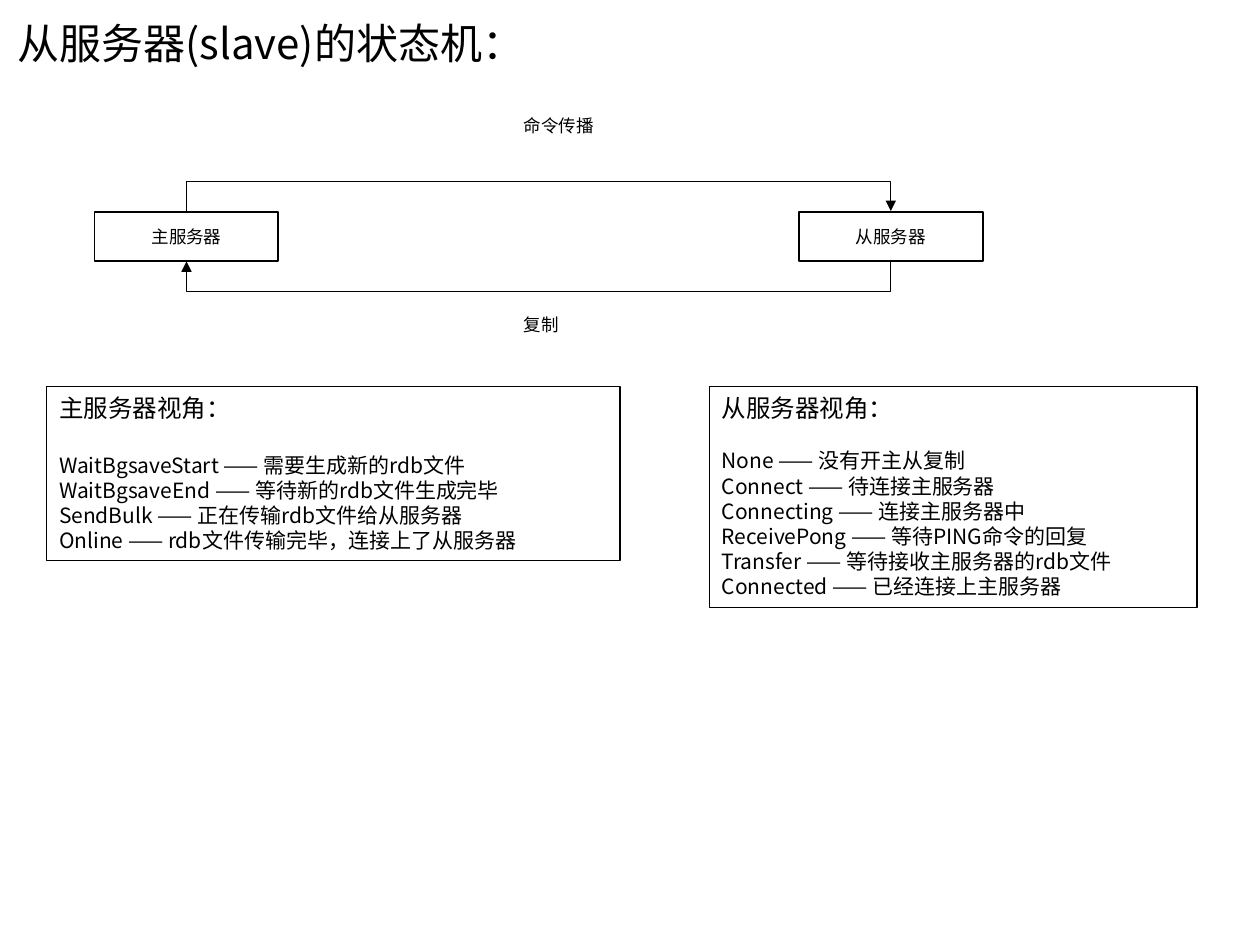
from dataclasses import dataclass

from lxml import etree
from pptx import Presentation
from pptx.dml.color import RGBColor
from pptx.enum.shapes import MSO_CONNECTOR, MSO_SHAPE
from pptx.enum.text import MSO_ANCHOR, MSO_AUTO_SIZE, PP_ALIGN
from pptx.oxml.ns import qn
from pptx.util import Inches, Pt

ELBOW = MSO_CONNECTOR.ELBOW
RECTANGLE = MSO_SHAPE.RECTANGLE
TOP, MIDDLE = MSO_ANCHOR.TOP, MSO_ANCHOR.MIDDLE
LEFT, CENTER = PP_ALIGN.LEFT, PP_ALIGN.CENTER
GROW = MSO_AUTO_SIZE.SHAPE_TO_FIT_TEXT
SITE_TOP, SITE_BOTTOM = 0, 2


@dataclass(frozen=True)
class Theme:
    font: str = "Noto Sans CJK SC"
    ink: RGBColor = RGBColor(0, 0, 0)
    paper: RGBColor = RGBColor(255, 255, 255)
    title: int = 24
    heading: int = 14
    body: int = 12
    label: int = 10
    thin: float = 0.75
    thick: float = 1


def write(paragraph, text, *, theme, size, align=LEFT, after=0):
    paragraph.alignment = align
    paragraph.space_after = Pt(after)
    run = paragraph.add_run()
    run.text = text
    run.font.name = theme.font
    run.font.size = Pt(size)
    run.font.color.rgb = theme.ink
    east_asian = etree.SubElement(run.font._element, qn("a:ea"))
    east_asian.set("typeface", theme.font)


class SlideBuilder:
    def __init__(self, slide, theme):
        self.slide = slide
        self.theme = theme

    def label(self, text, left, top, width, height, size):
        box = self.slide.shapes.add_textbox(
            Inches(left), Inches(top), Inches(width), Inches(height))
        box.text_frame.word_wrap = True
        box.text_frame.auto_size = GROW
        write(box.text_frame.paragraphs[0], text, theme=self.theme, size=size)

    def rectangle(self, left, top, width, height, line_width, anchor):
        shape = self.slide.shapes.add_shape(
            RECTANGLE, Inches(left), Inches(top), Inches(width), Inches(height))
        shape.shadow.inherit = False
        shape.fill.background()
        shape.line.color.rgb = self.theme.ink
        shape.line.width = Pt(line_width)
        shape.text_frame.word_wrap = True
        shape.text_frame.vertical_anchor = anchor
        return shape

    def server(self, name, left, top, width, height):
        shape = self.rectangle(left, top, width, height, self.theme.thick, MIDDLE)
        shape.fill.solid()
        shape.fill.fore_color.rgb = self.theme.paper
        write(shape.text_frame.paragraphs[0], name, theme=self.theme,
              size=self.theme.label, align=CENTER)
        return shape

    def panel(self, heading, states, left, top, width, height, gap):
        frame = self.rectangle(left, top, width, height, self.theme.thin, TOP).text_frame
        frame.auto_size = GROW
        write(frame.paragraphs[0], heading, theme=self.theme,
              size=self.theme.heading, after=gap)
        for state, meaning in states:
            write(frame.add_paragraph(), f"{state} —— {meaning}",
                  theme=self.theme, size=self.theme.body)

    def loop_arrow(self, source, target, site, reach):
        """Join the same side of two level boxes with an elbow that bulges by reach."""
        arrow = self.slide.shapes.add_connector(ELBOW, 0, 0, 0, 0)
        arrow.begin_connect(source, site)
        arrow.end_connect(target, site)
        span = abs(arrow.end_x - arrow.begin_x)
        center_x = (arrow.begin_x + arrow.end_x) // 2
        edge_y = arrow.begin_y
        # The bulge is a multiple of the width, so the width cannot be zero.
        depth = Inches(0.01)
        arrow.left, arrow.top = center_x - depth // 2, edge_y - span // 2
        arrow.width, arrow.height = depth, span

        properties = arrow._element.spPr
        transform = properties.find(qn("a:xfrm"))
        for flip in ("flipH", "flipV"):
            transform.attrib.pop(flip, None)
        quarter_turns = 3 if site == SITE_TOP else 1
        transform.set("rot", str(quarter_turns * 90 * 60000))
        adjustments = properties.find(qn("a:prstGeom")).get_or_add_avLst()
        bulge = etree.SubElement(adjustments, qn("a:gd"))
        bulge.set("name", "adj1")
        bulge.set("fmla", f"val {round(Inches(reach) / depth * 100000)}")

        arrow.line.color.rgb = self.theme.ink
        arrow.line.width = Pt(self.theme.thin)
        tip = etree.SubElement(arrow.line._get_or_add_ln(), qn("a:tailEnd"))
        tip.set("type", "triangle")
        etree.SubElement(properties, qn("a:effectLst"))


MASTER_STATES = [
    ("WaitBgsaveStart", "需要生成新的rdb文件"),
    ("WaitBgsaveEnd", "等待新的rdb文件生成完毕"),
    ("SendBulk", "正在传输rdb文件给从服务器"),
    ("Online", "rdb文件传输完毕，连接上了从服务器"),
]
SLAVE_STATES = [
    ("None", "没有开主从复制"),
    ("Connect", "待连接主服务器"),
    ("Connecting", "连接主服务器中"),
    ("ReceivePong", "等待PING命令的回复"),
    ("Transfer", "等待接收主服务器的rdb文件"),
    ("Connected", "已经连接上主服务器"),
]


def main():
    presentation = Presentation()
    presentation.slide_width, presentation.slide_height = Inches(10), Inches(7.5)
    theme = Theme()
    slide = presentation.slides.add_slide(presentation.slide_layouts[6])
    builder = SlideBuilder(slide, theme)

    builder.label("从服务器(slave)的状态机：", 0.04, 0.09, 5.28, 0.5, theme.title)

    master, slave = (
        builder.server(name, left, 1.68, 1.46, 0.39)
        for name, left in (("主服务器", 0.75), ("从服务器", 6.34)))
    builder.loop_arrow(master, slave, SITE_TOP, 0.25)
    builder.loop_arrow(slave, master, SITE_BOTTOM, 0.25)
    for text, top in (("命令传播", 0.86), ("复制", 2.44)):
        builder.label(text, 4.06, top, 1.62, 0.27, theme.label)

    builder.panel("从服务器视角：", SLAVE_STATES, 5.63, 3.07, 3.87, 1.75, gap=14.5)
    builder.panel("主服务器视角：", MASTER_STATES, 0.37, 3.07, 4.55, 1.38, gap=17)

    presentation.save("out.pptx")


if __name__ == "__main__":
    main()
